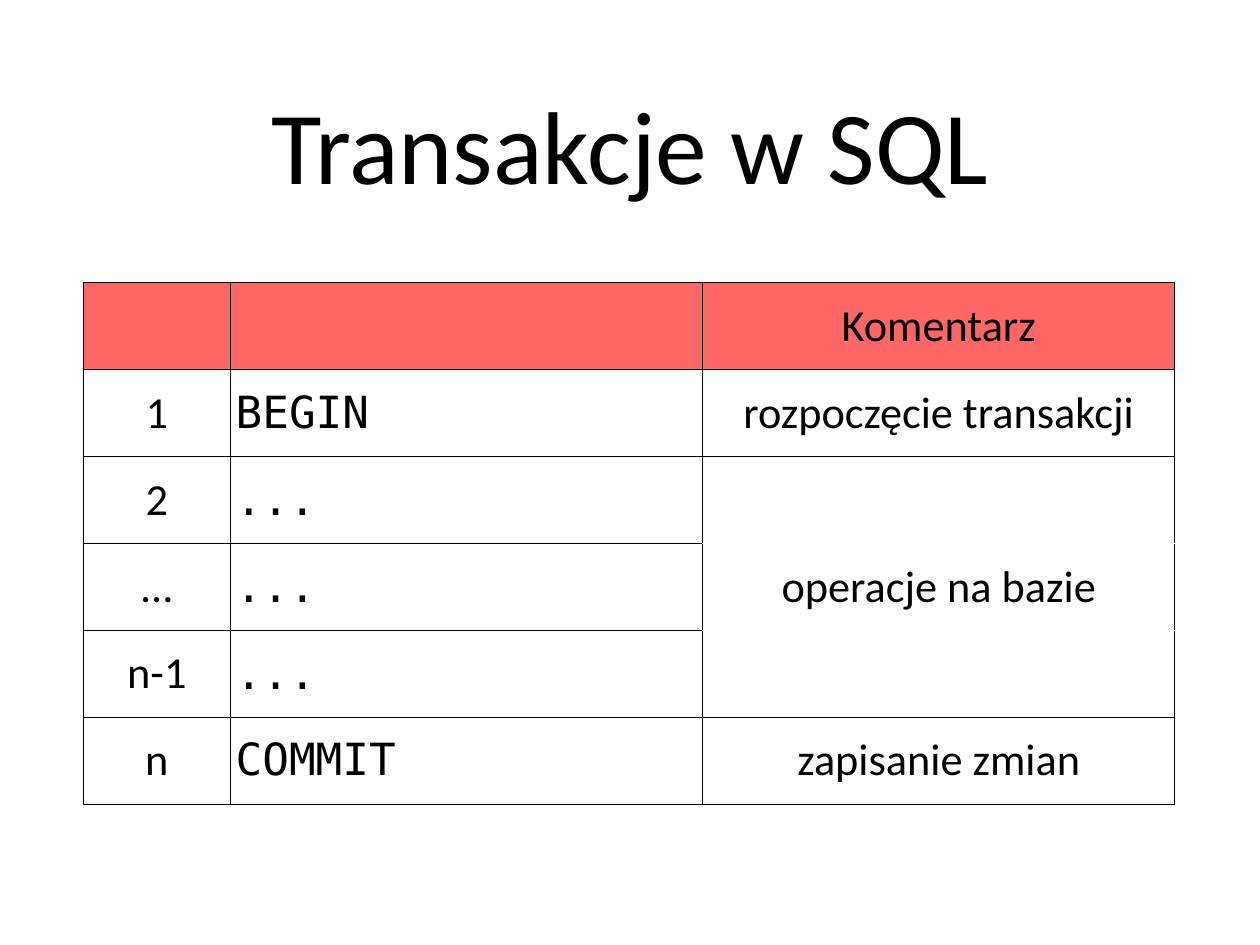
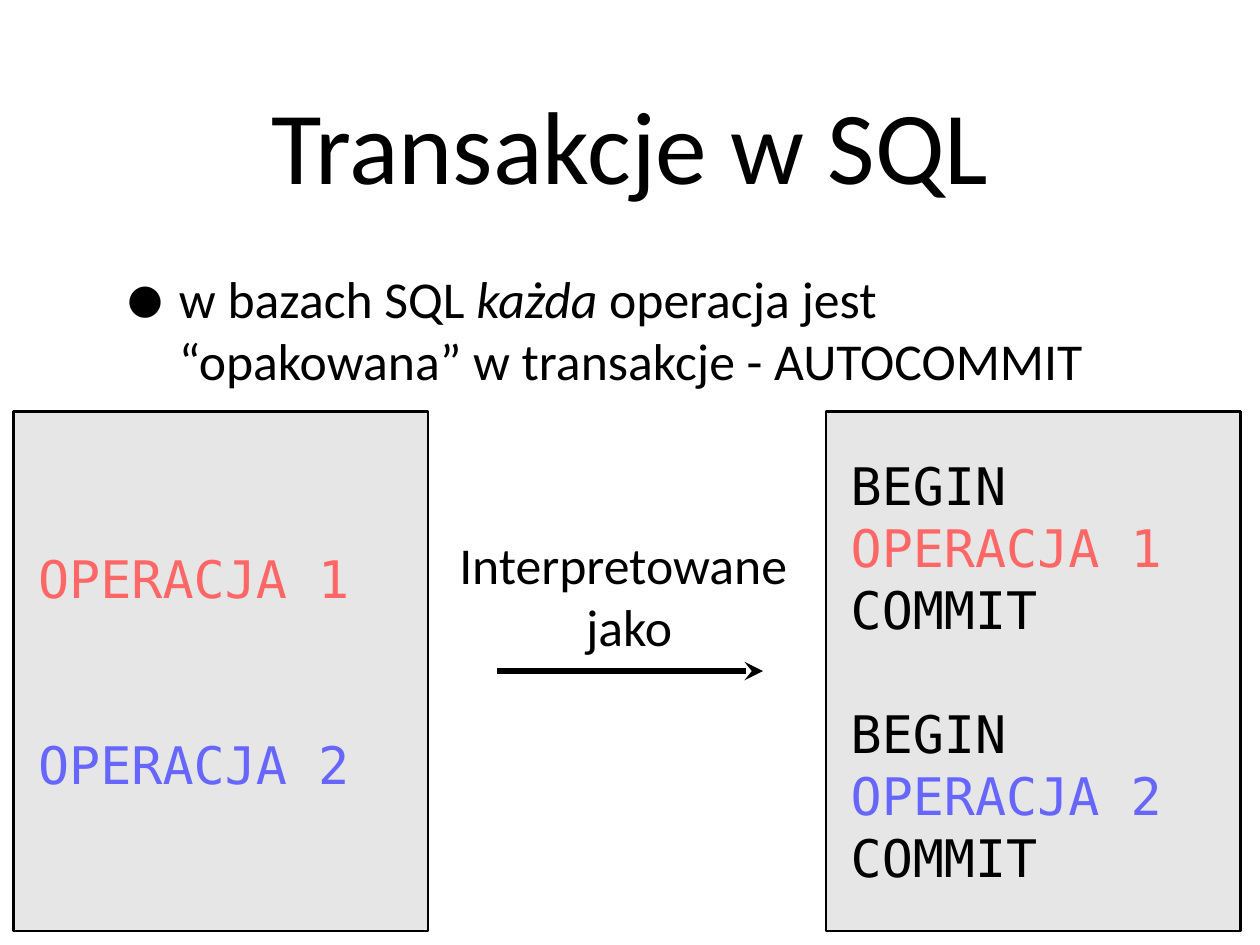
from lxml import etree
from pptx import Presentation
from pptx.dml.color import RGBColor
from pptx.enum.shapes import MSO_CONNECTOR, MSO_SHAPE
from pptx.enum.text import MSO_ANCHOR, MSO_AUTO_SIZE, PP_ALIGN
from pptx.oxml.ns import qn
from pptx.util import Inches, Pt

COLORS = {"black": "000000", "white": "FFFFFF", "red": "FF6666",
          "blue": "6666FF", "gray": "E6E6E6"}
TEXT_FONT = "Calibri"
CODE_FONT = "DejaVu Sans Mono"
LINE_HEIGHT = Pt(50.4)
BODY_SIZE = 42


def set_frame(frame, inset_x, inset_y, wrap=True):
    values = {"margin_left": Inches(inset_x), "margin_right": Inches(inset_x),
              "margin_top": Inches(inset_y), "margin_bottom": Inches(inset_y),
              "vertical_anchor": MSO_ANCHOR.MIDDLE, "word_wrap": wrap,
              "auto_size": MSO_AUTO_SIZE.NONE}
    for name, value in values.items():
        setattr(frame, name, value)


def add_text(paragraph, text, size, font=TEXT_FONT, color="black",
             align=PP_ALIGN.LEFT, italic=False):
    paragraph.alignment = align
    run = paragraph.add_run()
    run.text = text
    values = {"size": Pt(size), "name": font, "bold": False, "italic": italic}
    for name, value in values.items():
        setattr(run.font, name, value)
    run.font.color.rgb = RGBColor.from_string(COLORS[color])


presentation = Presentation()
presentation.slide_width = Inches(14.22)
presentation.slide_height = Inches(10.66)

# Both slides share the title
slides = []
for number in range(2):
    slide = presentation.slides.add_slide(presentation.slide_layouts[5])
    title = slide.shapes.title
    title.left, title.top = Inches(1.39), Inches(0.28)
    title.width, title.height = Inches(11.44), Inches(2.67)
    set_frame(title.text_frame, 0.06, 0.06)
    add_text(title.text_frame.paragraphs[0], "Transakcje w SQL", 84,
             align=PP_ALIGN.CENTER)
    slides.append(slide)
table_slide, autocommit_slide = slides

# Table of transaction steps
rows = [
    ("", "", "Komentarz"),
    ("1", "BEGIN", "rozpoczęcie transakcji"),
    ("2", "...", ""),
    ("...", "...", "operacje na bazie"),
    ("n-1", "...", ""),
    ("n", "COMMIT", "zapisanie zmian"),
]
column_widths = [1.66, 5.33, 5.33]
row_height = 0.98
table = table_slide.shapes.add_table(
    len(rows), len(column_widths), Inches(0.94), Inches(3.19),
    Inches(sum(column_widths)), Inches(row_height * len(rows))).table
table.first_row = table.horz_banding = False
for column, width in zip(table.columns, column_widths):
    column.width = Inches(width)

# Edges left open so that the comment spans rows 2 to 4
open_edges = {(2, 2, "lnB"), (3, 2, "lnT"), (3, 2, "lnB"), (4, 2, "lnT")}
for row_index, texts in enumerate(rows):
    table.rows[row_index].height = Inches(row_height)
    for column_index, text in enumerate(texts):
        cell = table.cell(row_index, column_index)
        cell.margin_left = cell.margin_right = Inches(0.06)
        cell.margin_top = cell.margin_bottom = Inches(0.05)
        cell.vertical_anchor = MSO_ANCHOR.MIDDLE
        properties = cell._tc.get_or_add_tcPr()
        for edge in ("lnL", "lnR", "lnT", "lnB"):
            is_open = (row_index, column_index, edge) in open_edges
            border = etree.SubElement(properties, qn("a:" + edge),
                                      w=str(Pt(0.11 if is_open else 0.96)))
            fill = etree.SubElement(border, qn("a:solidFill"))
            etree.SubElement(fill, qn("a:srgbClr"),
                             val=COLORS["white" if is_open else "black"])
        if row_index == 0:
            cell.fill.solid()
            cell.fill.fore_color.rgb = RGBColor.from_string(COLORS["red"])
        else:
            cell.fill.background()
        if text:
            is_code = column_index == 1
            add_text(cell.text_frame.paragraphs[0], text, 36,
                     font=CODE_FONT if is_code else TEXT_FONT,
                     align=PP_ALIGN.LEFT if is_code else PP_ALIGN.CENTER)

# Code panels: left edge, then lines as text, colour and blank lines before
panels = [
    (0.15, [("OPERACJA 1", "red", 0), ("OPERACJA 2", "blue", 2)]),
    (9.32, [("BEGIN", "black", 0), ("OPERACJA 1", "red", 0),
            ("COMMIT", "black", 0), ("BEGIN", "black", 1),
            ("OPERACJA 2", "blue", 0), ("COMMIT", "black", 0)]),
]
for left, lines in panels:
    panel = autocommit_slide.shapes.add_shape(
        MSO_SHAPE.RECTANGLE, Inches(left), Inches(4.64), Inches(4.68), Inches(5.86))
    panel.shadow.inherit = False
    panel.fill.solid()
    panel.fill.fore_color.rgb = RGBColor.from_string(COLORS["gray"])
    panel.line.color.rgb = RGBColor.from_string(COLORS["black"])
    panel.line.width = Pt(2)
    frame = panel.text_frame
    set_frame(frame, 0.28, 0.28)
    for index, (text, color, blank_lines) in enumerate(lines):
        paragraph = frame.add_paragraph() if index else frame.paragraphs[0]
        paragraph.line_spacing = LINE_HEIGHT
        if blank_lines:
            paragraph.space_before = LINE_HEIGHT * blank_lines
        add_text(paragraph, text, BODY_SIZE, CODE_FONT, color)

# Bulleted statement
statement = autocommit_slide.shapes.add_textbox(
    Inches(1.39), Inches(2.51), Inches(11.44), Inches(2.39))
set_frame(statement.text_frame, 0, 0)
paragraph = statement.text_frame.paragraphs[0]
paragraph.line_spacing = LINE_HEIGHT
properties = paragraph._p.get_or_add_pPr()
properties.set("marL", str(Inches(0.63)))
properties.set("indent", str(-Inches(0.63)))
bullet_color = etree.SubElement(properties, qn("a:buClr"))
etree.SubElement(bullet_color, qn("a:srgbClr"), val=COLORS["black"])
etree.SubElement(properties, qn("a:buSzPct"), val="171000")
etree.SubElement(properties, qn("a:buFont"), typeface=TEXT_FONT)
etree.SubElement(properties, qn("a:buChar"), char="•")
for text, italic in [("w bazach SQL ", False), ("każda", True),
                     (" operacja jest “opakowana” w transakcje - AUTOCOMMIT", False)]:
    add_text(paragraph, text, BODY_SIZE, italic=italic)

# Arrow between the panels
arrow = autocommit_slide.shapes.add_connector(
    MSO_CONNECTOR.STRAIGHT, Inches(5.61), Inches(7.57), Inches(8.61), Inches(7.57))
arrow.line.color.rgb = RGBColor.from_string(COLORS["black"])
arrow.line.width = Pt(5)
etree.SubElement(arrow.line._get_or_add_ln(), qn("a:tailEnd"), type="stealth")
etree.SubElement(arrow._element.spPr, qn("a:effectLst"))

# Arrow label
label = autocommit_slide.shapes.add_textbox(
    Inches(4.87), Inches(6.01), Inches(4.46), Inches(1.4))
frame = label.text_frame
set_frame(frame, 0, 0, wrap=False)
for index, text in enumerate(["Interpretowane ", "jako"]):
    paragraph = frame.add_paragraph() if index else frame.paragraphs[0]
    paragraph.line_spacing = LINE_HEIGHT
    add_text(paragraph, text, BODY_SIZE, align=PP_ALIGN.CENTER)

presentation.save("out.pptx")
